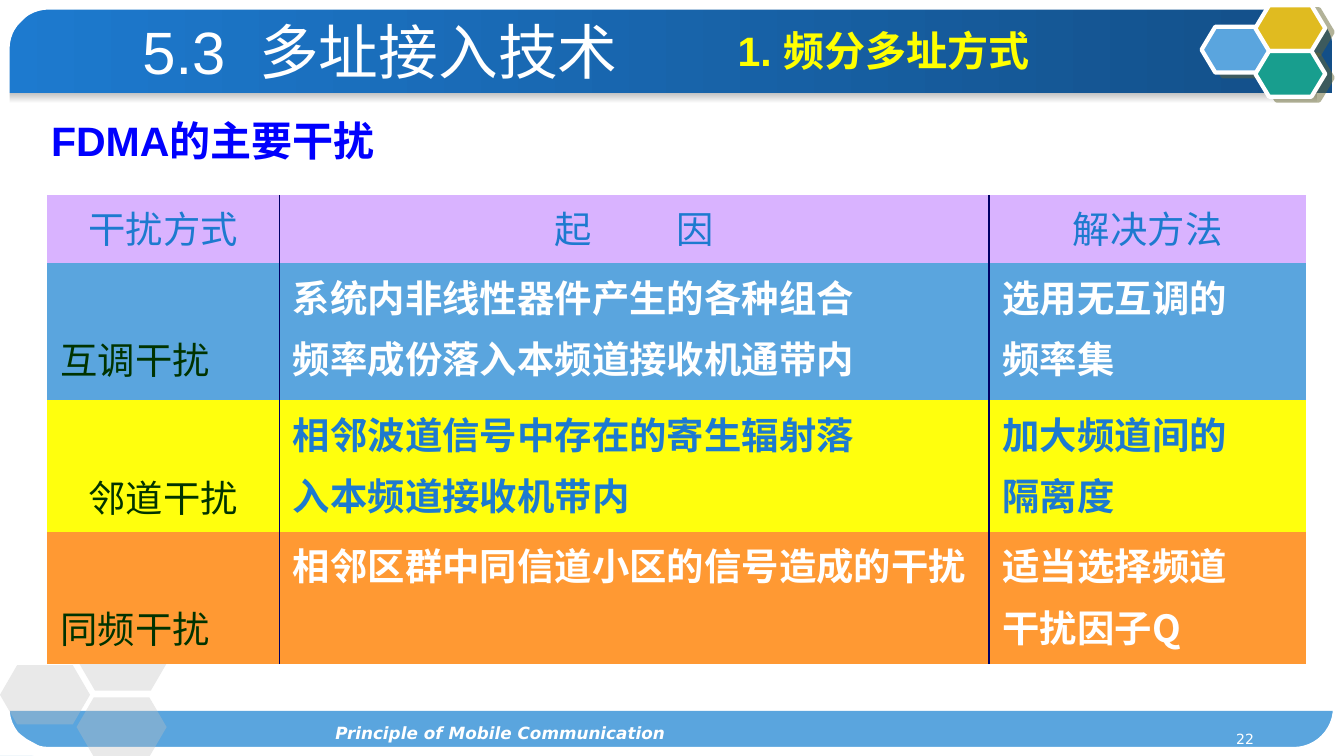
"""Build the slide on FDMA interference with its banded frame and table."""
from dataclasses import dataclass
from typing import Optional

from lxml import etree
from pptx import Presentation
from pptx import util as u
from pptx.dml import color
from pptx.enum import shapes, text
from pptx.oxml import ns

Inches = u.Inches
COLORS = {
    "blue": "1D7ACF", "deep": "134F88", "sky": "5AA5DE", "gray": "C0C0C0",
    "white": "FFFFFF", "gold": "E0BB20", "teal": "189E8E", "olive": "666633",
    "title": "0000FE", "bright": "FFFF00", "lilac": "D9B3FF", "yellow": "FFFF0D",
    "orange": "FF9933", "green": "003300", "navy": "000066",
}
CJK = "Noto Sans CJK SC"
PLAIN_TABLE = "{2D5ABB26-0587-4C30-8999-92F81FD0307C}"
ALIGN = text.PP_ALIGN
ANCHOR = text.MSO_ANCHOR
PRESET = shapes.MSO_SHAPE


@dataclass
class Style:
    size: float
    color: str
    font: str = "Arial"
    bold: bool = False
    italic: bool = False


@dataclass
class Hexagon:
    left: float
    top: float
    fill: str


@dataclass
class Corner:
    points: list
    line: Optional[str] = None


@dataclass
class Row:
    height: float
    fill: str
    ink: str
    label: str
    cause: list
    remedy: list
    label_align: ALIGN = ALIGN.LEFT
    label_bottom: float = 0.07


CORNERS = [
    Corner([(0, 0.37), (0.13, 0.19), (0.27, 0.05), (0.48, 0), (0, 0)]),
    Corner([(0.42, 5.62), (0.2, 5.5), (0.04, 5.38), (0, 5.19), (0, 5.62)]),
    Corner([(10, 5.25), (9.88, 5.43), (9.75, 5.58), (9.57, 5.62), (10, 5.62)], "white"),
    Corner([(9.5, 0), (9.75, 0.11), (9.94, 0.21), (10, 0.38), (10, 0)]),
]
BADGES = [Hexagon(8.94, 0.2, "sky"), Hexagon(9.34, 0.04, "gold"), Hexagon(9.34, 0.38, "teal")]
GHOSTS = [Hexagon(0, 4.95, "gray"), Hexagon(0.58, 4.7, "gray"), Hexagon(0.57, 5.19, "gray")]
HEADINGS = [(["干扰方式"], 0), (["起", "因"], 41), (["解决方法"], 0)]
WIDTHS = [1.73, 5.28, 2.36]
HEADING_HEIGHT = 0.51
ROWS = [
    Row(1.02, "sky", "white", "互调干扰",
        ["系统内非线性器件产生的各种组合", "频率成份落入本频道接收机通带内"],
        ["选用无互调的", "频率集"], label_bottom=0.11),
    Row(0.98, "yellow", "blue", "邻道干扰",
        ["相邻波道信号中存在的寄生辐射落", "入本频道接收机带内"],
        ["加大频道间的", "隔离度"], ALIGN.CENTER),
    Row(0.98, "orange", "white", "同频干扰",
        ["相邻区群中同信道小区的信号造成的干扰"],
        ["适当选择频道", "干扰因子Q"]),
]


def rgb(name: str) -> color.RGBColor:
    """Return the named colour."""
    return color.RGBColor.from_string(COLORS[name])


def add_span(para, words: str, style: Style, tracking: float = 0) -> None:
    """Add one formatted run, with optional letter spacing in points."""
    span = para.add_run()
    span.text = words
    font = span.font
    font.size, font.name = u.Pt(style.size), style.font
    font.bold, font.italic = style.bold, style.italic
    font.color.rgb = rgb(style.color)
    properties = font._element
    etree.SubElement(properties, ns.qn("a:ea"), typeface=CJK)
    if tracking:
        properties.set("spc", str(round(tracking * 100)))


def add_spaced(para, words: list, style: Style, tracking: float) -> None:
    """Add words parted by one widened space."""
    for index, word in enumerate(words):
        if index:
            add_span(para, " ", style, tracking)
        add_span(para, word, style)


def add_text(page, at: tuple, words: list, style: Style, align=ALIGN.LEFT,
             anchor=ANCHOR.TOP, tracking: float = 0, inset: float = 0.1) -> None:
    """Add a one-line text box."""
    frame = page.shapes.add_textbox(*map(Inches, at)).text_frame
    frame.word_wrap, frame.vertical_anchor = True, anchor
    frame.margin_left = frame.margin_right = Inches(inset)
    para = frame.paragraphs[0]
    para.alignment = align
    add_spaced(para, words, style, tracking)


def finish(shape, fill: Optional[str], line: Optional[str] = None, width: float = 0) -> None:
    """Set the fill, line and missing shadow of a shape."""
    shape.shadow.inherit = False
    if fill:
        shape.fill.solid()
        shape.fill.fore_color.rgb = rgb(fill)
    else:
        shape.fill.background()
    if line:
        shape.line.color.rgb = rgb(line)
        shape.line.width = u.Pt(width)
    else:
        shape.line.fill.background()


def add_shape(page, preset, at: tuple, fill: Optional[str], line: Optional[str] = None,
              width: float = 0):
    """Add a finished preset shape."""
    shape = page.shapes.add_shape(preset, *map(Inches, at))
    finish(shape, fill, line, width)
    return shape


def add_gradient(page, at: tuple, names: tuple, angle: float) -> None:
    """Add a rectangle with a two-colour gradient."""
    band = add_shape(page, PRESET.RECTANGLE, at, None)
    band.fill.gradient()
    band.fill.gradient_angle = angle
    for stop, name, position in zip(band.fill.gradient_stops, names, (0, 1)):
        stop.color.rgb = rgb(name)
        stop.position = position


def add_badge(page, badge: Hexagon) -> None:
    """Add a white-edged hexagon with a hard shadow."""
    shape = add_shape(page, PRESET.HEXAGON, (badge.left, badge.top, 0.52, 0.34),
                      badge.fill, "white", 2.25)
    shape.adjustments[0] = 0.3
    effects = shape._element.spPr.find(ns.qn("a:effectLst"))
    shadow = etree.SubElement(effects, ns.qn("a:outerShdw"), blurRad="0",
                              dist=str(u.Pt(4.5)), dir=str(27 * 60000))
    tint = etree.SubElement(shadow, ns.qn("a:srgbClr"), val=COLORS["olive"])
    etree.SubElement(tint, ns.qn("a:alpha"), val="50000")


def add_ghost(page, ghost: Hexagon) -> None:
    """Add a translucent hexagon."""
    shape = add_shape(page, PRESET.HEXAGON, (ghost.left, ghost.top, 0.67, 0.44), ghost.fill)
    shape.adjustments[0] = 0.29
    tint = shape._element.spPr.find(ns.qn("a:solidFill"))[0]
    etree.SubElement(tint, ns.qn("a:alpha"), val="35000")


def add_corner(page, corner: Corner) -> None:
    """Add a white piece that rounds off a slide corner."""
    start, *rest = [(Inches(x), Inches(y)) for x, y in corner.points]
    builder = page.shapes.build_freeform(*start)
    builder.add_line_segments(rest)
    finish(builder.convert_to_shape(), "white", corner.line, 0.75)


def add_border(cell, side: str) -> None:
    """Draw one side rule of a cell."""
    line = etree.Element(ns.qn(f"a:{side}"), w=str(u.Pt(1)))
    fill = etree.SubElement(line, ns.qn("a:solidFill"))
    etree.SubElement(fill, ns.qn("a:srgbClr"), val=COLORS["navy"])
    properties = cell._tc.get_or_add_tcPr()
    properties.insert(len(properties.findall(ns.qn("a:lnL"))), line)


def fill_cell(cell, lines: list, fill: str, style: Style, align=ALIGN.LEFT,
              tracking: float = 0) -> None:
    """Fill a cell with paragraphs, each a list of words."""
    cell.fill.solid()
    cell.fill.fore_color.rgb = rgb(fill)
    cell.margin_top = cell.margin_bottom = Inches(0.04)
    for index, words in enumerate(lines):
        para = cell.text_frame.add_paragraph() if index else cell.text_frame.paragraphs[0]
        para.alignment = align
        if index:
            para.space_before = u.Pt(4)
        add_spaced(para, words, style, tracking)


def add_interference_table(page) -> None:
    """Add the table of interference, causes and remedies."""
    heights = [HEADING_HEIGHT] + [row.height for row in ROWS]
    size = (0.35, 1.45, sum(WIDTHS), sum(heights))
    table = page.shapes.add_table(len(heights), len(WIDTHS), *map(Inches, size)).table
    table.first_row = table.horz_banding = False
    table._tbl.tblPr.find(ns.qn("a:tableStyleId")).text = PLAIN_TABLE
    for column, width in zip(table.columns, WIDTHS):
        column.width = Inches(width)
    for line, height in zip(table.rows, heights):
        line.height = Inches(height)
    for index, (words, tracking) in enumerate(HEADINGS):
        fill_cell(table.cell(0, index), [words], "lilac", Style(20, "blue", CJK),
                  ALIGN.CENTER, tracking)
    for index, row in enumerate(ROWS, 1):
        label = table.cell(index, 0)
        fill_cell(label, [[row.label]], row.fill, Style(20, "green", CJK), row.label_align)
        label.vertical_anchor = ANCHOR.BOTTOM
        label.margin_bottom = Inches(row.label_bottom)
        for column, lines in enumerate((row.cause, row.remedy), 1):
            fill_cell(table.cell(index, column), [[words] for words in lines], row.fill,
                      Style(20, row.ink, CJK, bold=True))
    for index in range(len(heights)):
        for column in range(len(WIDTHS) - 1):
            add_border(table.cell(index, column), "lnR")
            add_border(table.cell(index, column + 1), "lnL")


def add_title(page) -> None:
    """Place and fill the title placeholder."""
    title = page.shapes.title
    title.left, title.top, title.width, title.height = map(Inches, (0.28, 0.77, 7.56, 0.55))
    title.text_frame.vertical_anchor = ANCHOR.MIDDLE
    para = title.text_frame.paragraphs[0]
    para.alignment = ALIGN.LEFT
    add_span(para, "FDMA的主要干扰", Style(22, "title", bold=True))


def main() -> None:
    """Build and save the deck."""
    deck = Presentation()
    deck.slide_width, deck.slide_height = Inches(10), Inches(10) * 9 // 16
    page = deck.slides.add_slide(deck.slide_layouts[5])
    add_gradient(page, (0, 0.01, 9.91, 0.68), ("blue", "deep"), 0)
    add_shape(page, PRESET.RECTANGLE, (0, 5.29, 9.98, 0.33), "sky")
    add_gradient(page, (0, 0.69, 9.8, 0.08), ("gray", "white"), 270)
    frame = add_shape(page, PRESET.ROUNDED_RECTANGLE, (0.03, 0.03, 9.93, 5.57), None, "white", 6)
    frame.adjustments[0] = 0.06
    for corner in CORNERS:
        add_corner(page, corner)
    for badge in BADGES:
        add_badge(page, badge)
    for ghost in GHOSTS:
        add_ghost(page, ghost)
    add_text(page, (8.67, 5.39, 0.76, 0.14), ["22"], Style(7.5, "white", "DejaVu Sans"),
             ALIGN.RIGHT)
    add_text(page, (1.46, 5.33, 4.52, 0.26), ["Principle of Mobile Communication"],
             Style(9, "white", "DejaVu Sans", True, True), ALIGN.CENTER)
    add_title(page)
    add_interference_table(page)
    add_text(page, (0.98, 0.15, 4.09, 0.46), ["5.3", "多址接入技术"], Style(32, "white"),
             anchor=ANCHOR.MIDDLE, tracking=9, inset=0.08)
    add_text(page, (5.39, 0.14, 3.54, 0.47), ["1. 频分多址方式"],
             Style(22, "bright", bold=True))
    deck.save("out.pptx")


if __name__ == "__main__":
    main()
